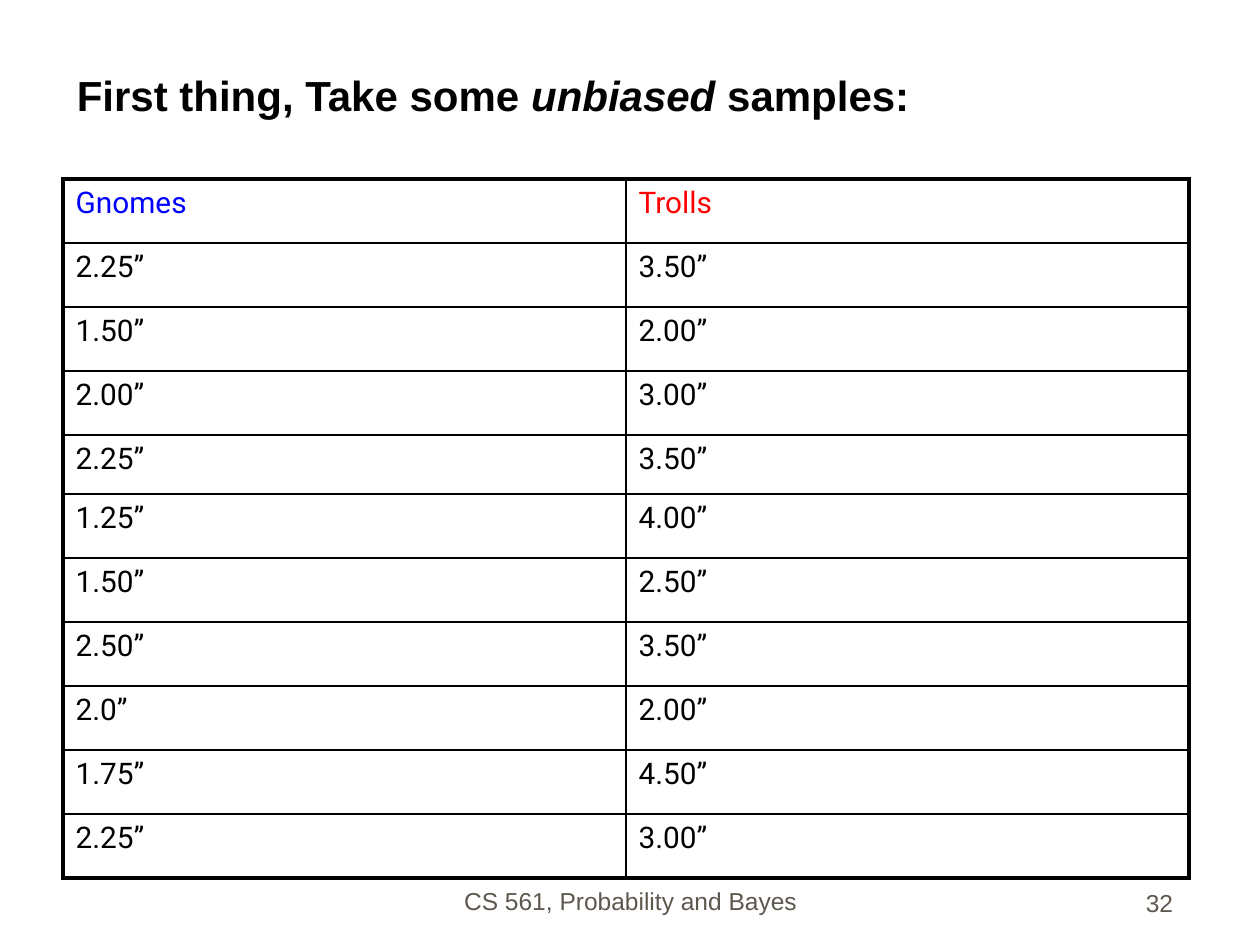
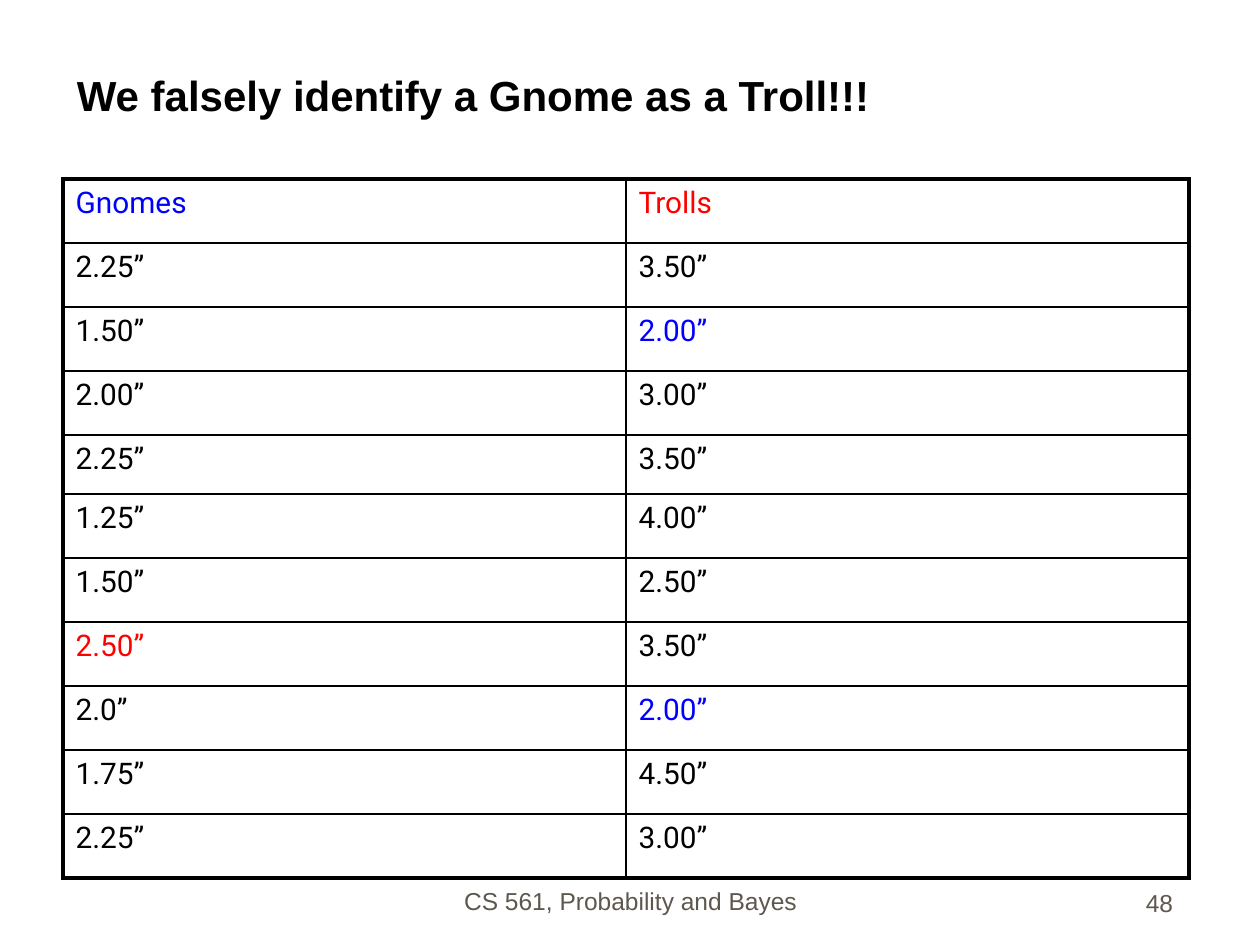
import lxml.etree
import pptx
import pptx.dml.color
import pptx.enum.text
import pptx.oxml.ns
import pptx.util

Cm = pptx.util.Cm
Pt = pptx.util.Pt
ALIGN = pptx.enum.text.PP_ALIGN

COLOURS = {"ink": "000000", "footer": "5E574E", "gnome": "0000FF", "troll": "FF0000"}
TITLE = {"name": "Arial", "size": Pt(24), "bold": True, "colour": "ink"}
FOOTER = {"name": "Arial", "size": Pt(14), "colour": "footer"}
CELL = {"name": "Roboto", "size": Pt(17), "colour": "ink"}

COLUMN_WIDTH = Cm(11.35)
ROW_HEIGHT = Cm(1.29)
SHORT_ROW, SHORT_HEIGHT = 4, Cm(1.19)
OUTER_LINE, INNER_LINE = Pt(2.25), Pt(1)

SAMPLES = [
    ("Gnomes", "Trolls"),
    ("2.25”", "3.50”"),
    ("1.50”", "2.00”"),
    ("2.00”", "3.00”"),
    ("2.25”", "3.50”"),
    ("1.25”", "4.00”"),
    ("1.50”", "2.50”"),
    ("2.50”", "3.50”"),
    ("2.0”", "2.00”"),
    ("1.75”", "4.50”"),
    ("2.25”", "3.00”"),
]
HEADINGS = {(0, 0): "gnome", (0, 1): "troll"}
MISTAKES = {(2, 1): "gnome", (7, 0): "troll", (8, 1): "gnome"}


def add_span(para, text, style):
    span = para.add_run()
    span.text = text
    for key, value in style.items():
        if key == "colour":
            span.font.color.rgb = pptx.dml.color.RGBColor.from_string(COLOURS[value])
        else:
            setattr(span.font, key, value)


def add_text(page, place, spans, style, alignment=ALIGN.LEFT):
    """Add a bottom-anchored box; spans are (text, extra format) pairs."""
    box = page.shapes.add_textbox(*(Cm(length) for length in place))
    frame = box.text_frame
    frame.word_wrap = True
    frame.vertical_anchor = pptx.enum.text.MSO_ANCHOR.BOTTOM
    para = frame.paragraphs[0]
    para.alignment = alignment
    for text, extra in spans:
        add_span(para, text, {**style, **extra})


def set_borders(cell, widths):
    """Draw cell borders; widths run left, right, top, bottom."""
    properties = cell._tc.get_or_add_tcPr()
    qn = pptx.oxml.ns.qn
    for index, (side, width) in enumerate(zip("LRTB", widths)):
        line = lxml.etree.Element(qn(f"a:ln{side}"), w=str(int(width)))
        fill = lxml.etree.SubElement(line, qn("a:solidFill"))
        lxml.etree.SubElement(fill, qn("a:srgbClr"), val=COLOURS["ink"])
        properties.insert(index, line)


def add_sample_table(page, highlights):
    """Add the samples; highlights maps (row, column) to a colour name."""
    last_row, last_column = len(SAMPLES) - 1, len(SAMPLES[0]) - 1
    height = ROW_HEIGHT * last_row + SHORT_HEIGHT
    table = page.shapes.add_table(
        last_row + 1, last_column + 1, Cm(1.27), Cm(3.61),
        COLUMN_WIDTH * (last_column + 1), height).table
    table.first_row = table.horz_banding = False
    colours = {**HEADINGS, **highlights}
    for row, values in enumerate(SAMPLES):
        table.rows[row].height = SHORT_HEIGHT if row == SHORT_ROW else ROW_HEIGHT
        for column, value in enumerate(values):
            cell = table.cell(row, column)
            cell.fill.background()
            colour = colours.get((row, column), CELL["colour"])
            add_span(cell.text_frame.paragraphs[0], value, {**CELL, "colour": colour})
            on_edge = (column == 0, column == last_column, row == 0, row == last_row)
            set_borders(cell, [OUTER_LINE if edge else INNER_LINE for edge in on_edge])


def add_page(deck, title, number, highlights):
    page = deck.slides.add_slide(deck.slide_layouts[6])
    add_text(page, (8.69, 17.3, 8.05, 1.27),
             [("CS 561, Probability and Bayes", {})], FOOTER, ALIGN.CENTER)
    add_text(page, (18.62, 17.35, 5.28, 1.27), [(str(number), {})], FOOTER, ALIGN.RIGHT)
    add_text(page, (1.3, 0.64, 22.66, 1.9), title, TITLE)
    add_sample_table(page, highlights)


def main():
    deck = pptx.Presentation()
    deck.slide_width, deck.slide_height = Cm(25.4), Cm(19.05)
    add_page(deck, [("First thing, Take some ", {}), ("unbiased", {"italic": True}),
                    (" samples:", {})], 32, {})
    add_page(deck, [("We falsely identify a Gnome as a Troll!!!", {})], 48, MISTAKES)
    deck.save("out.pptx")


if __name__ == "__main__":
    main()
